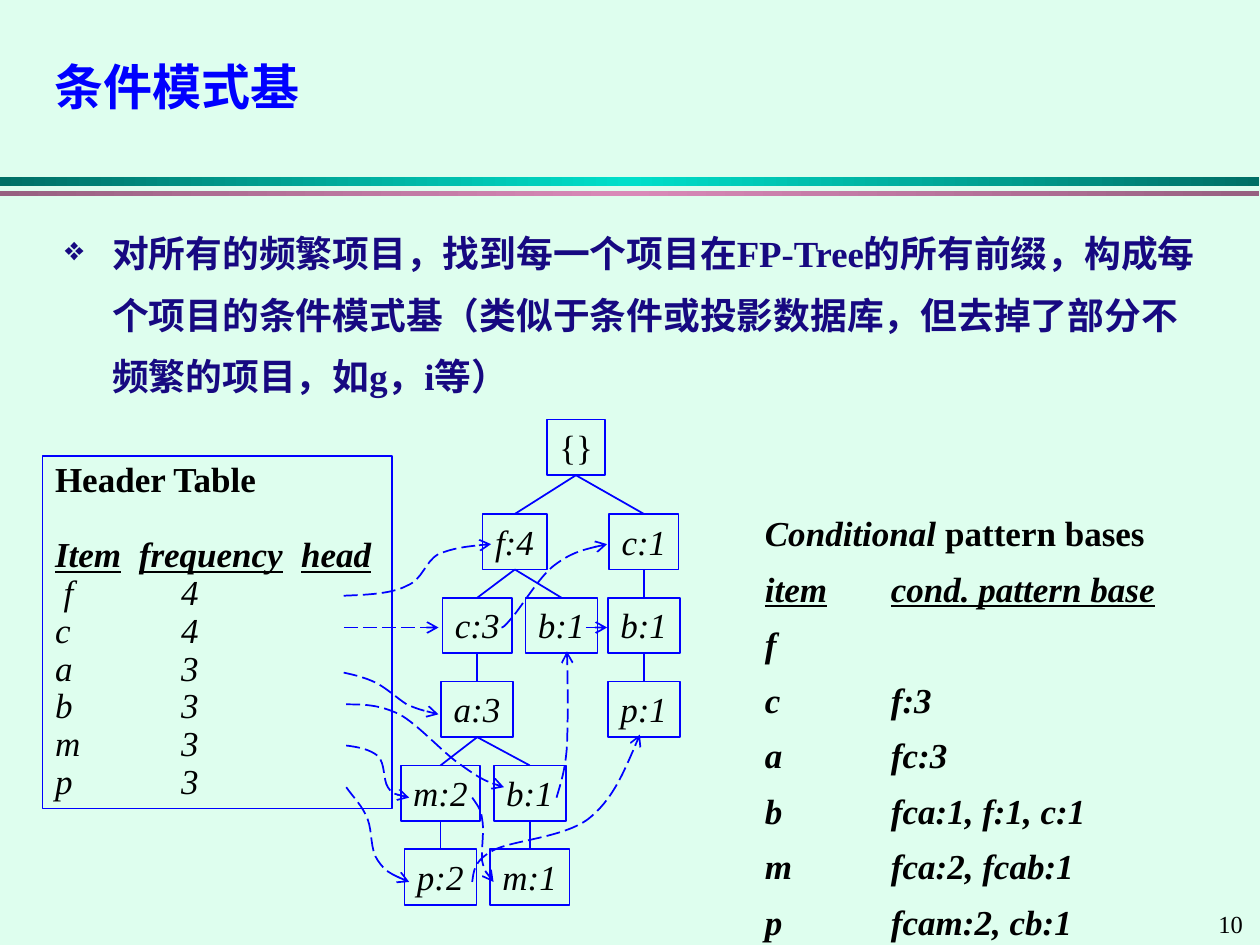
import dataclasses

import lxml.etree
import pptx
import pptx.dml.color
import pptx.enum.dml
import pptx.enum.shapes
import pptx.enum.text
import pptx.oxml.ns
import pptx.util

Cm = pptx.util.Cm
Pt = pptx.util.Pt
qn = pptx.oxml.ns.qn


@dataclasses.dataclass(frozen=True)
class Theme:
    """Colours, type sizes and font of the slide."""
    font: str = "Times New Roman"
    background: str = "DEFEEE"
    ink: str = "000000"
    blue: str = "0000FF"
    body: str = "170981"
    teal: tuple = ("006F65", "00DFCA", "006F65")
    mauve: tuple = ("976080", "D989B8", "976080")
    title_size: float = 28
    body_size: float = 21
    text_size: float = 20
    number_size: float = 14


@dataclasses.dataclass(frozen=True)
class Box:
    """A rectangle in centimetres."""
    left: float
    top: float
    width: float
    height: float

    def lengths(self):
        """Return the four sides as lengths."""
        return [Cm(side) for side in dataclasses.astuple(self)]

    def point(self, x, y):
        """Return a point measured from the top left corner."""
        return Cm(self.left + x), Cm(self.top + y)


THEME = Theme()


def rgb(value):
    """Return a colour from its hex value."""
    return pptx.dml.color.RGBColor.from_string(value)


def add_element(parent, tag, **attributes):
    """Append a drawing element to a parent."""
    return lxml.etree.SubElement(parent, qn(tag), attributes)


def style_paragraph(paragraph, size, color=THEME.ink, bold=False, italic=False,
                    underline=False, spacing=1.0, before=0, tabs=()):
    """Set tab stops, spacing and font of a paragraph."""
    if tabs:
        tab_list = add_element(paragraph._p.get_or_add_pPr(), "a:tabLst")
        for position in tabs:
            add_element(tab_list, "a:tab", pos=str(Cm(position)), algn="l")
    paragraph.alignment = pptx.enum.text.PP_ALIGN.LEFT
    paragraph.line_spacing = spacing
    paragraph.space_before = Pt(before)
    font = paragraph.font
    font.name, font.size, font.color.rgb = THEME.font, Pt(size), rgb(color)
    font.bold, font.italic, font.underline = bold, italic, underline


def add_text(slide, box, text=""):
    """Add a wrapping text box and return its frame."""
    frame = slide.shapes.add_textbox(*box.lengths()).text_frame
    frame.word_wrap = True
    frame.text = text
    return frame


def style_line(shape, dashed=False):
    """Give a shape or connector the blue line, dashed with an arrowhead for links."""
    shape.line.color.rgb = rgb(THEME.blue)
    shape.line.width = Pt(1)
    if dashed:
        shape.line.dash_style = pptx.enum.dml.MSO_LINE.LONG_DASH
        add_element(shape.line._get_or_add_ln(), "a:tailEnd", type="arrow")


def add_line(slide, start, end, dashed=False):
    """Add a straight connector between two points."""
    connector = slide.shapes.add_connector(
        pptx.enum.shapes.MSO_CONNECTOR.STRAIGHT, *start, *end)
    style_line(connector, dashed)
    add_element(connector._element.spPr, "a:effectLst")


def add_curve(slide, points):
    """Add a dashed Bezier arrow from a start point and triples of control points."""
    builder = slide.shapes.build_freeform(*points[0], scale=1.0)
    builder.add_line_segments(points[1:], close=False)
    shape = builder.convert_to_shape()
    shape.shadow.inherit = False
    shape.fill.background()
    style_line(shape, dashed=True)
    outline = shape._element.find(".//" + qn("a:path"))
    segments = outline.findall(qn("a:lnTo"))
    for first in range(0, len(segments), 3):
        curve = add_element(outline, "a:cubicBezTo")
        for segment in segments[first:first + 3]:
            curve.append(segment[0])
            outline.remove(segment)


def add_frame(slide, box, text):
    """Add an outlined rectangle with text from its top left and return its frame."""
    shape = slide.shapes.add_shape(pptx.enum.shapes.MSO_SHAPE.RECTANGLE, *box.lengths())
    shape.shadow.inherit = False
    shape.fill.background()
    style_line(shape)
    frame = shape.text_frame
    frame.vertical_anchor = pptx.enum.text.MSO_ANCHOR.TOP
    frame.word_wrap = True
    frame.text = text
    return frame


def add_band(slide, box, colors):
    """Add a horizontal gradient band."""
    shape = slide.shapes.add_shape(pptx.enum.shapes.MSO_SHAPE.RECTANGLE, *box.lengths())
    shape.shadow.inherit = False
    shape.line.fill.background()
    shape.fill.gradient()
    shape.fill.gradient_angle = 0
    stops = shape._element.spPr.find(".//" + qn("a:gsLst"))
    for stop in list(stops):
        stops.remove(stop)
    for position, color in zip((0, 50000, 100000), colors):
        stop = add_element(stops, "a:gs", pos=str(position))
        add_element(stop, "a:srgbClr", val=color)


def add_title(slide, box):
    """Add the slide title."""
    frame = add_text(slide, box, "条件模式基")
    frame.vertical_anchor = pptx.enum.text.MSO_ANCHOR.MIDDLE
    style_paragraph(frame.paragraphs[0], THEME.title_size, THEME.blue, bold=True, spacing=0.9)


def add_body(slide, box):
    """Add the bulleted explanation."""
    frame = add_text(slide, box, "对所有的频繁项目，找到每一个项目在FP-Tree的所有前缀，构成每个项目的条件模式基"
                                 "（类似于条件或投影数据库，但去掉了部分不频繁的项目，如g，i等）")
    paragraph = frame.paragraphs[0]
    properties = paragraph._p.get_or_add_pPr()
    properties.set("marL", str(Cm(0.95)))
    properties.set("indent", str(Cm(-0.95)))
    add_element(add_element(properties, "a:buClr"), "a:srgbClr", val=THEME.body)
    add_element(properties, "a:buSzPct", val="90000")
    add_element(properties, "a:buChar", char="❖")
    style_paragraph(paragraph, THEME.body_size, THEME.body, bold=True, spacing=1.4)


def add_header_table(slide, box):
    """Add the framed list of items and frequencies."""
    rows = ("Header Table", "Item\tfrequency\thead ",
            " f\t4", "c\t4", "a\t3", "b\t3", "m\t3", "p\t3")
    frame = add_frame(slide, box, "\n".join(rows))
    for index, paragraph in enumerate(frame.paragraphs):
        heading = index == 1
        style_paragraph(paragraph, THEME.text_size, bold=index < 2, italic=index > 0,
                        underline=heading, spacing=0.9, before=21.5 if heading else 0,
                        tabs=(1.69, 4.96) if heading else (2.54,))


def add_pattern_bases(slide, box):
    """Add the list of conditional pattern bases."""
    rows = ("", "item\tcond. pattern base", "f", "c\tf:3", "a\tfc:3",
            "b\tfca:1, f:1, c:1", "m\tfca:2, fcab:1", "p\tfcam:2, cb:1")
    frame = add_text(slide, box, "\n".join(rows))
    for index, paragraph in enumerate(frame.paragraphs):
        style_paragraph(paragraph, THEME.text_size, bold=True, italic=True,
                        underline=index == 1, spacing=0.8 if index else 1.0,
                        before=12.5 if index else 0, tabs=(2.54,))
    for text, italic in (("Conditional ", True), ("pattern bases", False)):
        run = frame.paragraphs[0].add_run()
        run.text, run.font.italic = text, italic


def add_tree(slide, box):
    """Add the tree nodes and the edges to their parents."""
    widths = {"{": 1.17, "f": 1.3, "c": 1.4, "a": 1.45, "b": 1.45, "p": 1.45, "m": 1.6}
    nodes = {"root": ("{}", 3.53, 0, None), "f": ("f:4", 2.3, 1, "root"),
             "c right": ("c:1", 4.9, 1, "root"), "c left": ("c:3", 1.54, 2, "f"),
             "b middle": ("b:1", 3.24, 2, "f"), "b right": ("b:1", 4.9, 2, "c right"),
             "a": ("a:3", 1.54, 3, "c left"), "p right": ("p:1", 4.9, 3, "b right"),
             "m left": ("m:2", 0.8, 4, "a"), "b low": ("b:1", 2.6, 4, "a"),
             "p left": ("p:2", 0.8, 5, "m left"), "m low": ("m:1", 2.6, 5, "b low")}
    height, tops = 1.12, [0] + [1.9 + 1.69 * row for row in range(5)]
    for text, center, row, parent in nodes.values():
        width = widths[text[0]]
        node = Box(box.left + center - width / 2, box.top + tops[row], width, height)
        frame = add_frame(slide, node, text)
        frame.word_wrap = False
        style_paragraph(frame.paragraphs[0], THEME.text_size, italic=row > 0)
        if parent:
            _, parent_center, parent_row, _ = nodes[parent]
            add_line(slide, box.point(parent_center, tops[parent_row] + height),
                     box.point(center, tops[row]))


def add_links(slide, box):
    """Add the dashed arrows that chain equal items."""
    curves = (
        ((0, 1.04), (.48, 1.02), (.97, 1), (1.27, .84), (1.6, .71), (1.63, .36), (1.91, .2),
         (2.21, .08), (2.59, .03), (2.97, 0)),
        ((3.18, 1.68), (3.2, 1.68), (3.23, 1.68), (3.4, 1.47), (3.58, 1.27), (3.94, .66),
         (4.24, .43), (4.57, .18), (4.93, .08), (5.31, 0)),
        ((0, 2.59), (.23, 2.64), (.43, 2.69), (.64, 2.79), (.86, 2.9), (1.07, 3.1),
         (1.27, 3.23), (1.5, 3.33), (1.7, 3.38), (1.91, 3.43)),
        ((.05, 3.23), (.38, 3.23), (.71, 3.23), (1.12, 3.43), (1.5, 3.63), (2.03, 4.24),
         (2.39, 4.47), (2.74, 4.72), (2.97, 4.83), (3.23, 4.9)),
        ((4.29, 5.11), (4.37, 4.83), (4.47, 4.55), (4.5, 4.06), (4.52, 3.56), (4.52, 2.87),
         (4.5, 2.16)),
        ((.05, 4.06), (.3, 4.09), (.53, 4.14), (.69, 4.27), (.84, 4.42), (.79, 4.75),
         (.89, 4.9), (.99, 5.05), (1.17, 5.08), (1.32, 5.11)),
        ((2.59, 5.11), (2.67, 5.23), (2.77, 5.33), (2.79, 5.54), (2.84, 5.74), (2.77, 6.17),
         (2.79, 6.38), (2.84, 6.6), (2.92, 6.71), (3.02, 6.81)),
        ((.05, 4.9), (.2, 5.11), (.38, 5.28), (.48, 5.54), (.58, 5.79), (.53, 6.17),
         (.69, 6.38), (.84, 6.6), (1.07, 6.71), (1.32, 6.81)),
        ((2.59, 6.81), (2.62, 6.6), (2.62, 6.38), (3.02, 6.17), (3.4, 5.97), (4.42, 5.92),
         (4.93, 5.54), (5.41, 5.16), (5.69, 4.5), (5.97, 3.84)))
    for points in curves:
        add_curve(slide, [box.point(*point) for point in points])
    for start, end in ((0, 1.91), (4.88, 5.31)):
        add_line(slide, box.point(start, 1.68), box.point(end, 1.68), dashed=True)


def add_page_number(slide, box):
    """Add the page number."""
    frame = add_text(slide, box, "10")
    frame.word_wrap = False
    style_paragraph(frame.paragraphs[0], THEME.number_size)


def main():
    """Build and save the slide."""
    presentation = pptx.Presentation()
    presentation.slide_width, presentation.slide_height = Cm(25.4), Cm(19.05)
    slide = presentation.slides.add_slide(presentation.slide_layouts[6])
    slide.background.fill.solid()
    slide.background.fill.fore_color.rgb = rgb(THEME.background)
    add_band(slide, Box(0, 3.56, 25.38, 0.2), THEME.teal)
    add_band(slide, Box(0, 3.86, 25.38, 0.1), THEME.mauve)
    add_page_number(slide, Box(24.31, 18.21, 1.09, 0.84))
    add_title(slide, Box(0.85, 0.85, 23.7, 1.9))
    add_body(slide, Box(1.06, 4.17, 23.28, 4))
    add_pattern_bases(slide, Box(15.17, 10.19, 9.25, 8.86))
    add_tree(slide, Box(8.08, 8.46, 5.63, 9.78))
    add_header_table(slide, Box(0.86, 9.19, 7.05, 7.11))
    add_links(slide, Box(6.93, 10.97, 5.97, 6.81))
    presentation.save("out.pptx")


if __name__ == "__main__":
    main()
